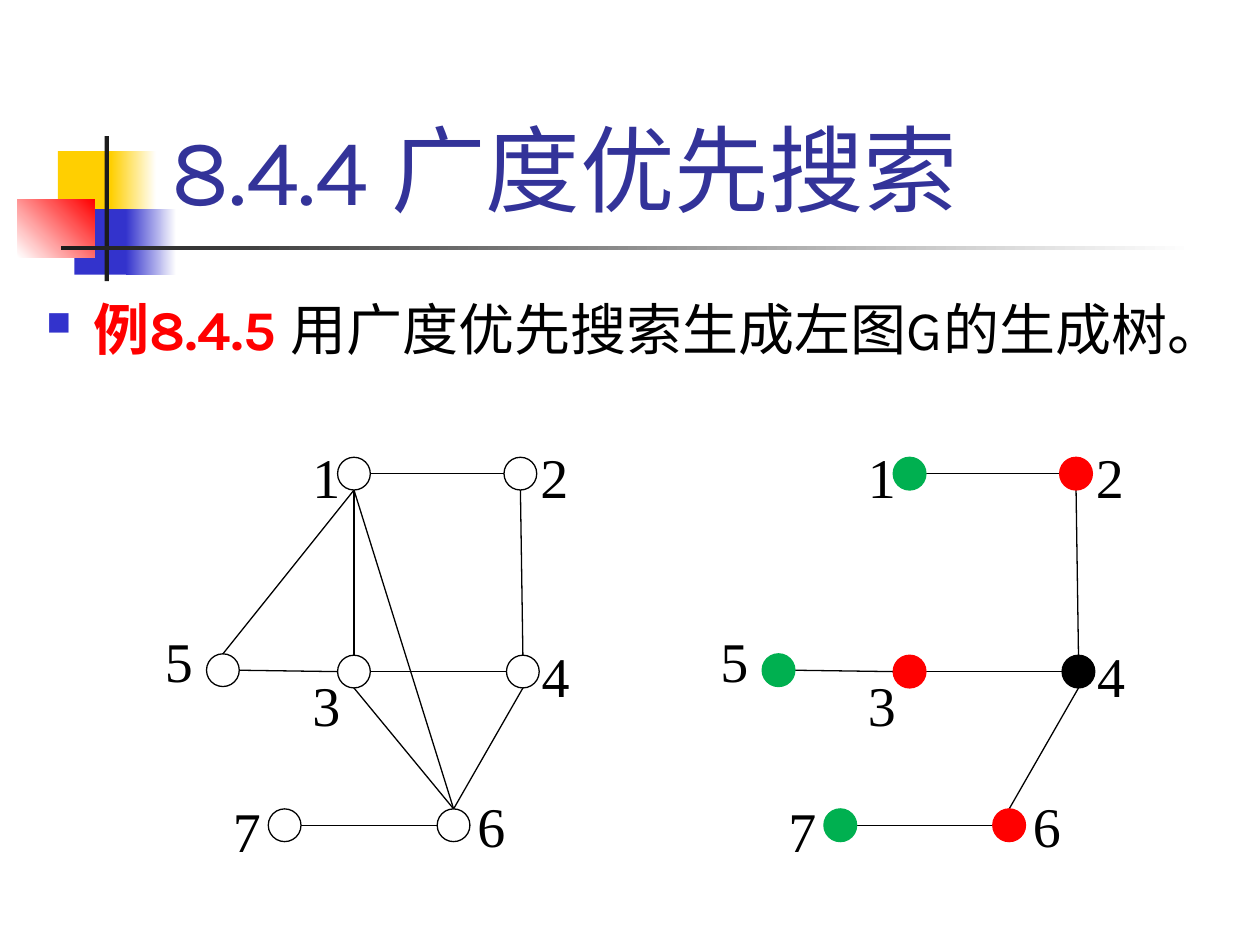
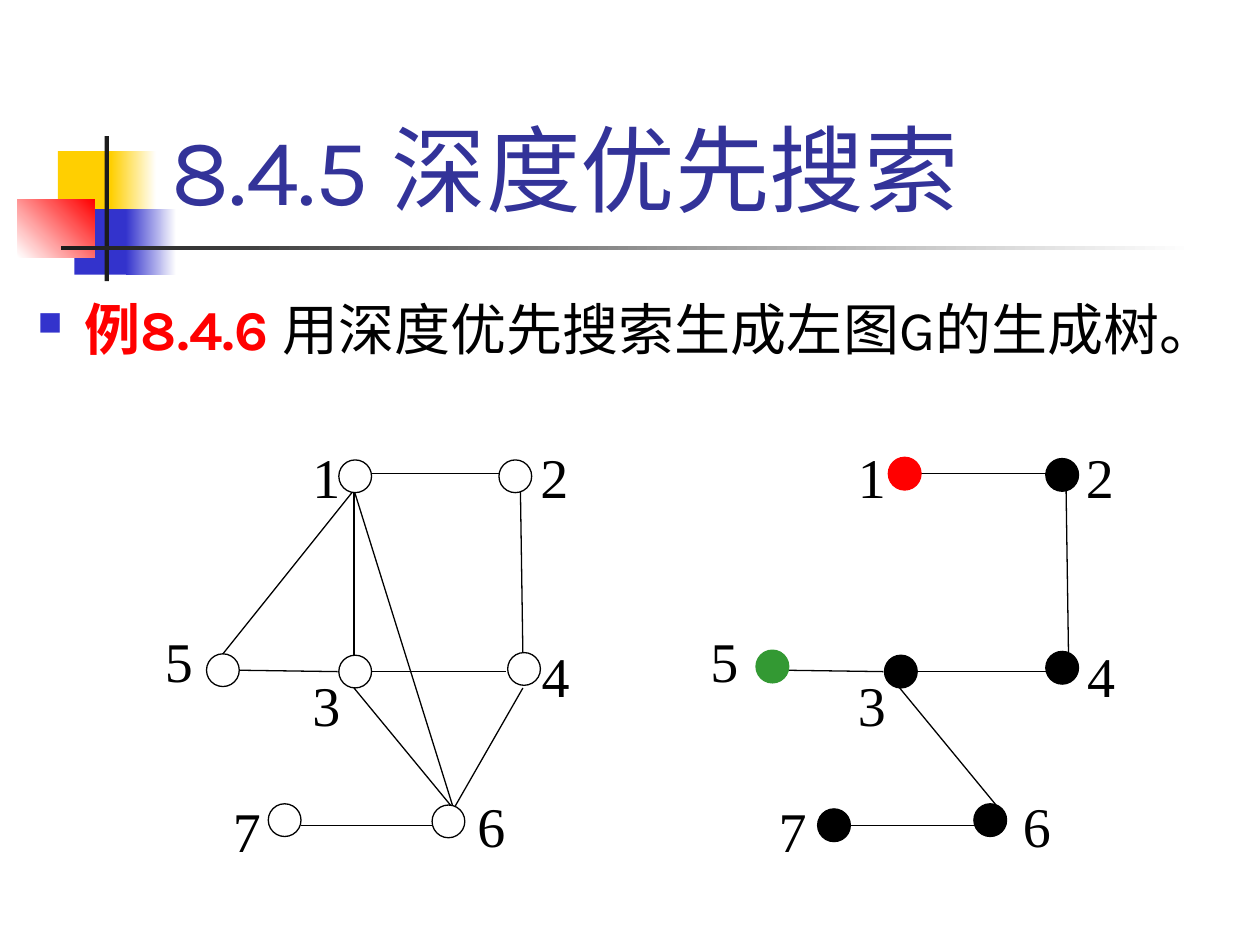
from lxml import etree
from pptx import Presentation
from pptx.dml.color import RGBColor
from pptx.enum.shapes import MSO_CONNECTOR, MSO_SHAPE
from pptx.enum.text import MSO_ANCHOR, MSO_AUTO_SIZE, PP_ALIGN
from pptx.oxml.ns import qn
from pptx.util import Pt

RECT, OVAL = MSO_SHAPE.RECTANGLE, MSO_SHAPE.OVAL
LINE = MSO_CONNECTOR.STRAIGHT
TOP, BOTTOM = MSO_ANCHOR.TOP, MSO_ANCHOR.BOTTOM
LEFT = PP_ALIGN.LEFT
FIXED = MSO_AUTO_SIZE.NONE

HEX = {
    "black": "000000", "white": "FFFFFF", "red": "FF0000",
    "green": "00B050", "leaf": "339933", "gold": "FFCF01",
    "blue": "3333CC", "navy": "333399", "ink": "1C1C1C",
}
SANS, SERIF = "Karla", "Times New Roman"
RADIUS = 9.36

# Theme marks: left, top, width, height, start colour, end colour, angle
MARKS = [
    (33.1, 86.4, 34.6, 37.4, "gold", None, 0),
    (63.4, 86.4, 25.9, 37.4, "gold", "white", 0),
    (42.5, 119.5, 33.1, 37.4, "blue", None, 0),
    (72, 119.5, 28.8, 37.4, "blue", "white", 0),
    (10.1, 113.8, 43.9, 33.1, "white", "red", 45),
    (59.8, 77.8, 2.4, 82.8, "ink", None, 0),
    (34.6, 140.4, 648, 2.4, "ink", "white", 0),
]

# Node centres, label corners and edges of graph G
NODES = {
    1: (202.3, 270.7), 2: (297.4, 270.7), 3: (202.3, 383.8),
    4: (298.8, 383.8), 5: (127.4, 383), 6: (259.2, 471.6),
    7: (162.7, 471.6),
}
LABELS = {
    1: (171.4, 245.5), 2: (301.7, 245.5), 3: (171.4, 375.8),
    4: (302.4, 359.3), 5: (87.1, 350.6), 6: (265.7, 445),
    7: (126, 447.8),
}
EDGES = [(1, 2), (5, 3), (3, 4), (7, 6), (1, 5), (1, 3), (1, 6),
         (2, 4), (3, 6), (4, 6)]

# Breadth-first tree
WIDE_EDGES = [(1, 2), (5, 3), (3, 4), (7, 6), (2, 4), (4, 6)]
WIDE_FILLS = {1: "green", 2: "red", 3: "red", 4: "black",
              5: "green", 6: "red", 7: "green"}

# Depth-first tree, and its own node centres
DEEP_EDGES = [(1, 2), (5, 3), (3, 4), (7, 6), (2, 4), (3, 6)]
DEEP_FILLS = {1: "red", 2: "black", 3: "black", 4: "black",
              5: "leaf", 6: "black", 7: "black"}
DEEP_LEFT = {
    1: (203, 272.2), 2: (294.5, 272.2), 3: (203, 383.8),
    4: (299.5, 382.3), 5: (127.4, 383), 6: (256.3, 469.4),
    7: (162.7, 468.7),
}
DEEP_RIGHT = {
    1: (517, 270.7), 2: (607, 271.4), 3: (514.8, 383.8),
    4: (607, 381.6), 5: (441.4, 380.9), 6: (565.9, 468.7),
    7: (476.6, 471.6),
}


def rgb(name):
    return RGBColor.from_string(HEX[name])


def style(font, size, face, tint):
    font.size, font.name = Pt(size), face
    font.color.rgb = rgb(tint)


def add_block(slide, kind, box, fill, edge=None):
    shape = slide.shapes.add_shape(kind, *map(Pt, box))
    shape.shadow.inherit = False
    shape.fill.solid()
    shape.fill.fore_color.rgb = rgb(fill)
    if edge:
        shape.line.color.rgb = rgb(edge)
        shape.line.width = Pt(0.75)
    else:
        shape.line.fill.background()
    return shape


def add_marks(slide):
    for *box, start, end, angle in MARKS:
        mark = add_block(slide, RECT, box, start)
        if end:
            mark.fill.gradient()
            mark.fill.gradient_angle = angle
            for stop, tint in zip(mark.fill.gradient_stops, (start, end)):
                stop.color.rgb = rgb(tint)


def set_title(slide, text):
    title = slide.shapes.title
    title.left, title.top = Pt(90.7), Pt(16.6)
    title.width, title.height = Pt(613.4), Pt(115.2)
    frame = title.text_frame
    frame.text = text
    frame.word_wrap, frame.auto_size = True, FIXED
    frame.vertical_anchor = BOTTOM
    para = frame.paragraphs[0]
    para.alignment = LEFT
    style(para.font, 54, SANS, "navy")


def add_bullet(para):
    props = para._p.get_or_add_pPr()
    props.set("marL", str(Pt(27)))
    props.set("indent", str(Pt(-27)))
    tint = etree.SubElement(props, qn("a:buClr"))
    etree.SubElement(tint, qn("a:srgbClr"), val=HEX["blue"])
    etree.SubElement(props, qn("a:buSzPct"), val="60000")
    etree.SubElement(props, qn("a:buChar"), char="■")


def add_task(slide, left, lead, rest):
    box = slide.shapes.add_textbox(
        Pt(left), Pt(145.4), Pt(720 - left), Pt(394.6))
    box.text_frame.word_wrap = True
    para = box.text_frame.paragraphs[0]
    add_bullet(para)
    para.line_spacing = 1.5
    for text, tint, bold in ((lead, "red", True), (rest, "black", False)):
        run = para.add_run()
        run.text = text
        style(run.font, 32, SANS, tint)
        run.font.bold = bold


def add_label(slide, num, left, top):
    box = add_block(slide, RECT, (left, top, 62.6, 54.7), "white", "white")
    frame = box.text_frame
    frame.word_wrap, frame.vertical_anchor = True, TOP
    frame.margin_top = Pt(7.2)
    para = frame.paragraphs[0]
    para.text = str(num)
    para.alignment = LEFT
    style(para.font, 32, SERIF, "black")


def add_edge(slide, start, end):
    """Join side to side within a row, else bottom to top."""
    (x1, y1), (x2, y2) = start, end
    if abs(y2 - y1) < RADIUS:
        x1, x2 = x1 + RADIUS, x2 - RADIUS
    else:
        y1, y2 = y1 + RADIUS, y2 - RADIUS
    line = slide.shapes.add_connector(LINE, *map(Pt, (x1, y1, x2, y2)))
    line.line.color.rgb = rgb("black")
    line.line.width = Pt(0.75)
    etree.SubElement(line._element.spPr, qn("a:effectLst"))


def shift(spots, dx):
    return {num: (x + dx, y) for num, (x, y) in spots.items()}


def add_graph(slide, dx, edges, fills=None, spots=None):
    ends = shift(NODES, dx)
    for num, (left, top) in shift(LABELS, dx).items():
        add_label(slide, num, left, top)
    for start, end in edges:
        add_edge(slide, ends[start], ends[end])
    for num, (x, y) in (spots or ends).items():
        fill = fills[num] if fills else "white"
        box = (x - RADIUS, y - RADIUS, 2 * RADIUS, 2 * RADIUS)
        add_block(slide, OVAL, box, fill, fill if fills else "black")


def add_page(deck, title, left, lead, rest):
    slide = deck.slides.add_slide(deck.slide_layouts[5])
    add_marks(slide)
    set_title(slide, title)
    add_task(slide, left, lead, rest)
    return slide


def main():
    deck = Presentation()
    deck.slide_width, deck.slide_height = Pt(720), Pt(540)

    # Breadth-first search
    wide = add_page(deck, "8.4.4 广度优先搜索", 19.4, "例8.4.5 ",
                    "用广度优先搜索生成左图G的生成树。")
    add_graph(wide, 0, EDGES)
    add_graph(wide, 317.5, WIDE_EDGES, WIDE_FILLS)

    # Depth-first search
    deep = add_page(deck, "8.4.5 深度优先搜索", 14.4, "例8.4.6 ",
                    "用深度优先搜索生成左图G的生成树。")
    add_graph(deep, 0, EDGES, spots=DEEP_LEFT)
    add_graph(deep, 311.8, DEEP_EDGES, DEEP_FILLS, DEEP_RIGHT)

    deck.save("out.pptx")


if __name__ == "__main__":
    main()
